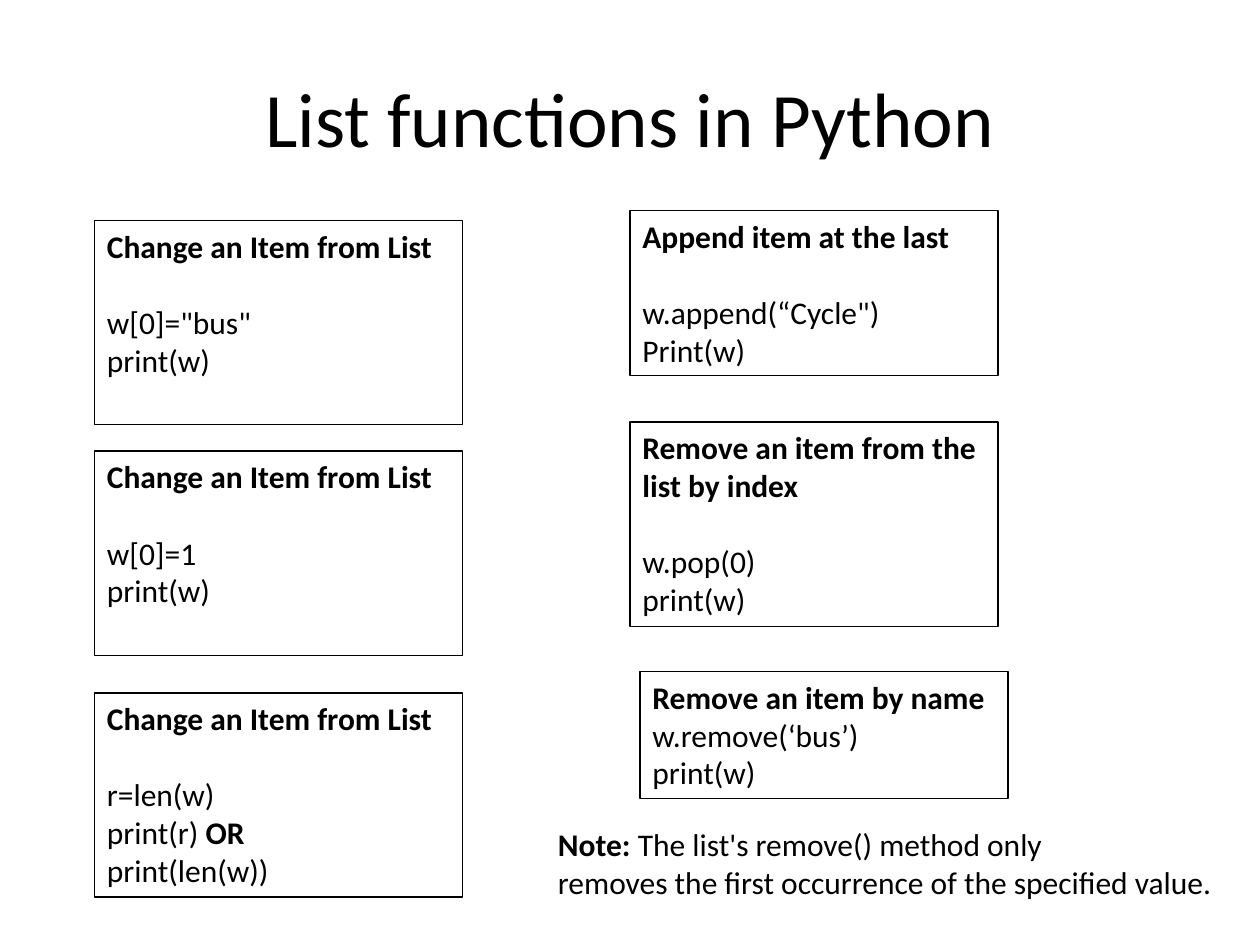
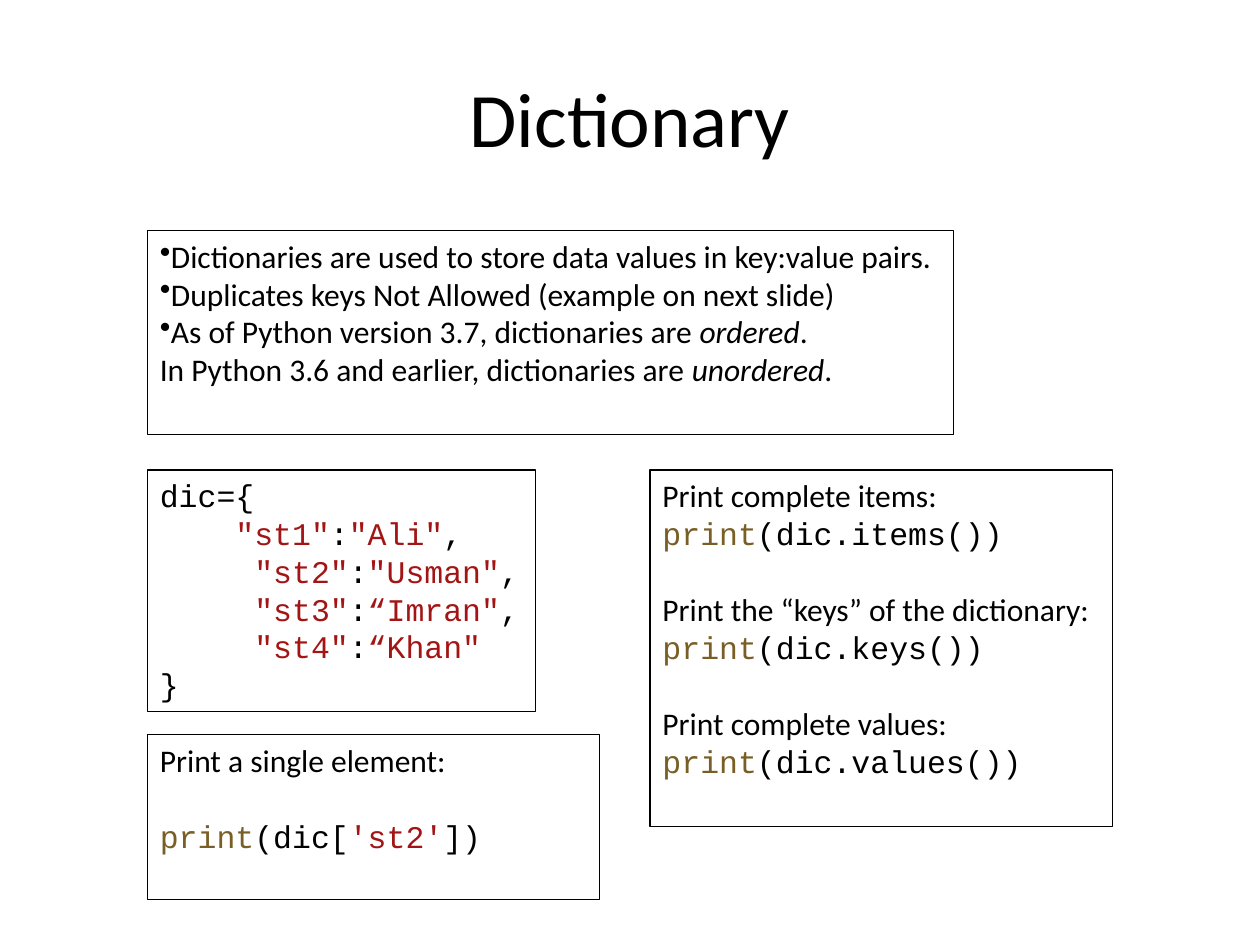
from collections import namedtuple

from pptx import Presentation
from pptx.dml.color import RGBColor as Rgb
from pptx.enum.shapes import MSO_SHAPE as Kind
from pptx.enum.text import MSO_ANCHOR as Anchor, MSO_AUTO_SIZE as Fit, PP_ALIGN as Align
from pptx.oxml.ns import qn
from pptx.util import Inches, Pt

COLORS = {"ink": "000000", "paper": "FFFFFF", "text": "A31515", "call": "795E26"}
SANS, MONO = "Calibri", "Courier New"
BASE = {"name": SANS, "size": Pt(18), "bold": False, "italic": False}
STYLES = {
    "plain": (BASE, "ink"),
    "bold": (BASE | {"bold": True}, "ink"),
    "slant": (BASE | {"italic": True}, "ink"),
    "title": (BASE | {"size": Pt(44)}, "ink"),
    "code": (BASE | {"name": MONO}, "ink"),
    "text": (BASE | {"name": MONO}, "text"),
    "call": (BASE | {"name": MONO}, "call"),
}
FRAME = {"word_wrap": True, "auto_size": Fit.NONE, "vertical_anchor": Anchor.TOP}
GAP = Pt(22)

Box = namedtuple("Box", "left top width height")
Line = namedtuple("Line", "runs gap dot", defaults=(False, False))


def color(key):
    """Return the named colour."""
    return Rgb.from_string(COLORS[key])


def apply(obj, values):
    """Set each attribute of an object from a dict."""
    for key, value in values.items():
        setattr(obj, key, value)


def inner(box, left, top, width, height):
    """Return a box placed relative to another."""
    return Box(box.left + left, box.top + top, width, height)


def line(text, style="plain", gap=False, dot=False):
    """Return a line with one run."""
    return Line([(text, style)], gap, dot)


def write(frame, lines):
    """Fill a text frame with styled lines."""
    apply(frame, FRAME)
    for pos, row in enumerate(lines):
        para = frame.add_paragraph() if pos else frame.paragraphs[0]
        apply(para, {"alignment": Align.LEFT, "space_before": GAP if row.gap else Pt(0)})
        if row.dot:
            mark = para._p.get_or_add_pPr().makeelement(qn("a:buChar"), {"char": "•"})
            para._p.get_or_add_pPr().append(mark)
        for text, style in row.runs:
            run = para.add_run()
            run.text = text
            values, ink = STYLES[style]
            apply(run.font, values)
            run.font.color.rgb = color(ink)


def card(slide, box, lines):
    """Draw an outlined box of lines."""
    shape = slide.shapes.add_shape(Kind.RECTANGLE, *map(Inches, box))
    shape.shadow.inherit = False
    shape.fill.background()
    shape.line.color.rgb = color("ink")
    shape.line.width = Pt(0.75)
    write(shape.text_frame, lines)


def note(slide, box, lines):
    """Place lines without an outline."""
    write(slide.shapes.add_textbox(*map(Inches, box)).text_frame, lines)


def start(deck, title):
    """Add a slide with its title."""
    slide = deck.slides.add_slide(deck.slide_layouts[5])
    slide.background.fill.solid()
    slide.background.fill.fore_color.rgb = color("paper")
    head = slide.shapes.title
    apply(head, dict(zip(Box._fields, map(Inches, (0.5, 0.3, 9, 1.25)))))
    write(head.text_frame, [line(title, "title")])
    head.text_frame.vertical_anchor = Anchor.MIDDLE
    head.text_frame.paragraphs[0].alignment = Align.CENTER
    return slide


def change(slide, box):
    """Stack the cards that change or count items."""
    head = line("Change an Item from List", "bold")
    show = line("print(w)")
    count = [Line([("print(r) ", "plain"), ("OR", "bold")]), line("print(len(w))")]
    cards = [
        (0, 'w[0]="bus"', [show]),
        (1.83, "w[0]=1", [show]),
        (3.75, "r=len(w)", count),
    ]
    for top, code, rest in cards:
        spot = inner(box, 0, top, box.width, 1.62)
        card(slide, spot, [head, line(code, gap=True), *rest])


def edit(slide, box):
    """Stack the cards that append or remove items."""
    cards = [
        (0, 0, 1.31, "Append item at the last", "w.append(“Cycle\")", "Print(w)", True),
        (0, 1.68, 1.62, "Remove an item from the list by index", "w.pop(0)", "print(w)", True),
        (0.08, 3.66, 1.01, "Remove an item by name", "w.remove(‘bus’)", "print(w)", False),
    ]
    for left, top, height, head, code, show, gap in cards:
        spot = inner(box, left, top, box.width, height)
        card(slide, spot, [line(head, "bold"), line(code, gap=gap), line(show)])


def facts(slide, box):
    """Draw the box of dictionary facts."""
    card(slide, box, [
        line("Dictionaries are used to store data values in key:value pairs.", dot=True),
        line("Duplicates keys Not Allowed (example on next slide)", dot=True),
        Line([("As of Python version 3.7, dictionaries are ", "plain"),
              ("ordered", "slant"), (".", "plain")], dot=True),
        Line([("In Python 3.6 and earlier, dictionaries are ", "plain"),
              ("unordered", "slant"), (".", "plain")]),
    ])


def sample(slide, box):
    """Draw the dictionary code."""
    pairs = [
        ("    ", '"st1"', '"Ali"', ","),
        ("     ", '"st2"', '"Usman"', ","),
        ("     ", '"st3"', "“Imran\"", ","),
        ("     ", '"st4"', "“Khan\"", ""),
    ]
    rows = [
        Line([(pad, "code"), (key, "text"), (":", "code"), (value, "text")]
             + ([(end, "code")] if end else []))
        for pad, key, value, end in pairs
    ]
    card(slide, box, [line("dic={", "code"), *rows, line("}", "code")])


def views(slide, box):
    """Draw the calls that print whole views."""
    rows = []
    for head, call in [
        ("Print complete items:", "items"),
        ("Print the “keys” of the dictionary:", "keys"),
        ("Print complete values:", "values"),
    ]:
        rows.append(line(head, gap=bool(rows)))
        rows.append(Line([("print", "call"), (f"(dic.{call}())", "code")]))
    card(slide, box, rows)


def single(slide, box):
    """Draw the call that prints one element."""
    call = [("print", "call"), ("(dic[", "code"), ("'st2'", "text"), ("])", "code")]
    card(slide, box, [line("Print a single element:"), Line(call, gap=True)])


def main():
    """Build and save the deck."""
    deck = Presentation()
    apply(deck, {"slide_width": Inches(10), "slide_height": Inches(7.5)})

    lists = start(deck, "List functions in Python")
    change(lists, Box(0.75, 1.75, 2.92, 5.37))
    edit(lists, Box(5, 1.67, 2.92, 4.67))
    note(lists, Box(4.33, 6.5, 5.46, 0.71), [
        Line([("Note:", "bold"), (" The list's remove() method only", "plain")]),
        line("removes the first occurrence of the specified value."),
    ])

    words = start(deck, "Dictionary")
    sample(words, Box(1.17, 3.73, 3.08, 1.92))
    facts(words, Box(1.17, 1.83, 6.4, 1.62))
    views(words, Box(5.16, 3.73, 3.67, 2.83))
    single(words, Box(1.17, 5.83, 3.59, 1.31))

    deck.save("out.pptx")


if __name__ == "__main__":
    main()
